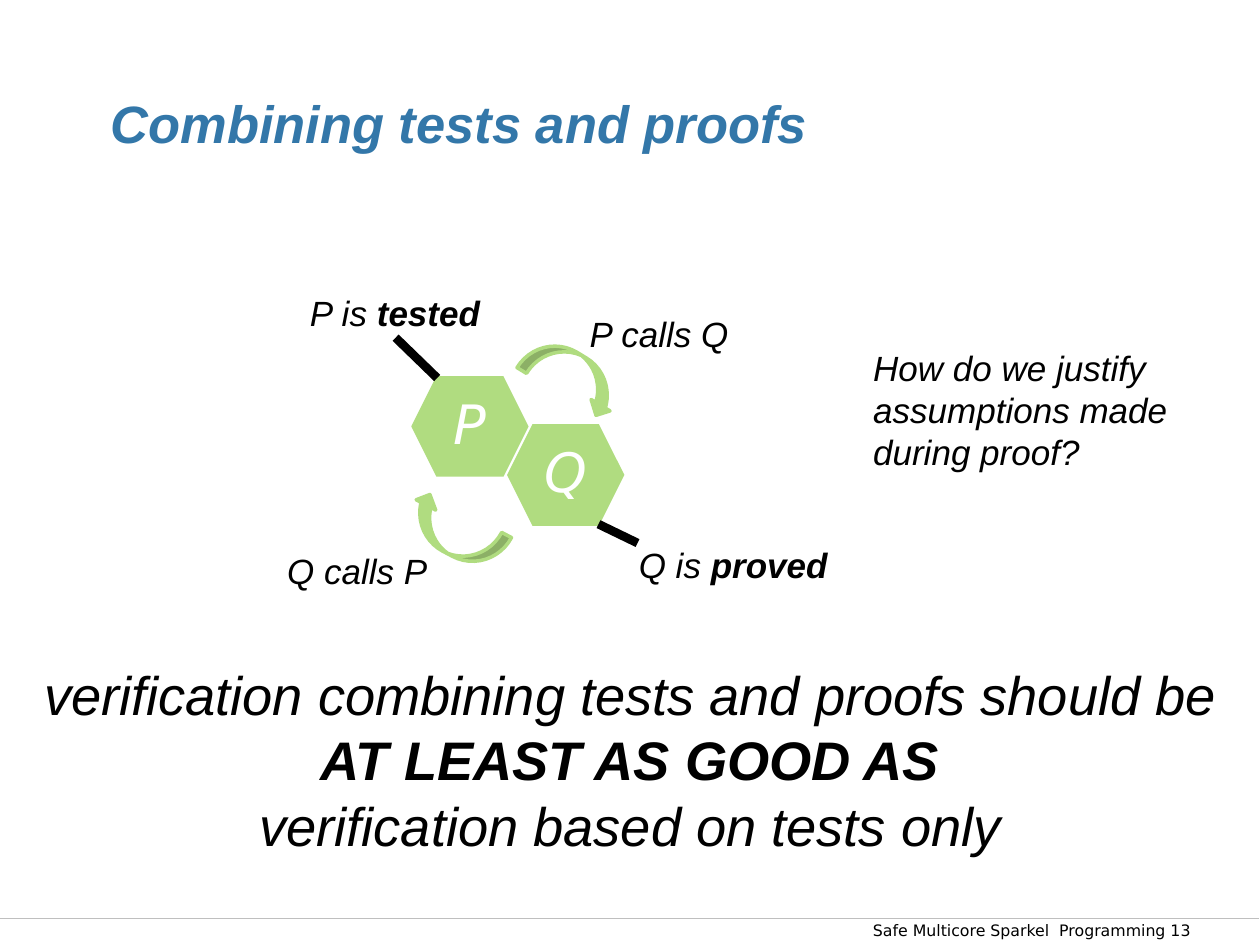
from dataclasses import dataclass

from lxml.etree import SubElement
from pptx import Presentation
from pptx.dml.color import RGBColor
from pptx.enum.shapes import MSO_CONNECTOR, MSO_SHAPE
from pptx.enum.text import MSO_ANCHOR, PP_ALIGN
from pptx.oxml.ns import qn
from pptx.util import Inches, Pt

COLORS = {"title": "3377A9", "ink": "000000", "white": "FFFFFF",
          "green": "B0DC80", "rule": "BFBFBF"}


@dataclass
class Label:
    box: tuple[float, float, float, float]
    # Each paragraph is a list of (text, bold) runs
    paragraphs: list[list[tuple[str, bool]]]
    size: float = 20
    color: str = "ink"
    font: str = "Arial"
    italic: bool = True
    align: PP_ALIGN = PP_ALIGN.LEFT
    anchor: MSO_ANCHOR = MSO_ANCHOR.TOP
    insets: tuple[float, float] = (0.07, 0.04)
    wrap: bool = False
    line_spacing: float = 1.0
    space_after: float = 0


@dataclass
class Module:
    name: str
    left: float
    top: float
    height: float


@dataclass
class Stroke:
    start: tuple[float, float]
    end: tuple[float, float]
    color: str
    width: float


@dataclass
class CallArrow:
    left: float
    top: float
    rotation: float


MODULES = [Module("P", 3.28, 3.0, 0.77), Module("Q", 4.04, 3.38, 0.78)]
ARROWS = [CallArrow(4.37, 2.57, 301.1), CallArrow(3.44, 3.82, 117.8)]
FOOTER_RULE = Stroke((-0.01, 7.29), (9.99, 7.29), "rule", 0.25)
LEADERS = [Stroke((3.14, 2.68), (3.47, 3.0), "ink", 5),
           Stroke((4.75, 4.16), (5.06, 4.31), "ink", 5)]

LABELS = [
    Label((0.78, 0.76, 8.5, 0.42), [[("Combining tests and proofs", True)]],
          size=30, color="title", anchor=MSO_ANCHOR.MIDDLE,
          insets=(0.1, 0.05), wrap=True),
    Label((4.61, 2.44, 1.26, 0.4), [[("P calls Q", False)]]),
    Label((2.21, 4.32, 1.26, 0.4), [[("Q calls P", False)]]),
    Label((2.39, 2.27, 1.5, 0.4), [[("P is ", False), ("tested", True)]]),
    Label((5.0, 4.27, 1.64, 0.4), [[("Q is ", False), ("proved", True)]]),
    Label((6.86, 2.71, 2.56, 1.07),
          [[("How do we justify", False)], [("assumptions made", False)],
           [("during proof?", False)]]),
    Label((0, 5.21, 10, 1.62),
          [[("verification combining tests and proofs should be", False)],
           [("AT LEAST AS GOOD AS", True)],
           [("verification based on tests only", False)]],
          size=31, align=PP_ALIGN.CENTER, wrap=True),
    Label((6.83, 7.26, 3.17, 0.27),
          [[("Safe Multicore Sparkel  Programming 13", False)]],
          size=9, font="DejaVu Sans", italic=False, insets=(0.1, 0.05),
          wrap=True),
]


def rgb(name: str) -> RGBColor:
    return RGBColor.from_string(COLORS[name])


def draw_label(slide, label: Label) -> None:
    frame = slide.shapes.add_textbox(*map(Inches, label.box)).text_frame
    frame.word_wrap = label.wrap
    frame.vertical_anchor = label.anchor
    frame.margin_left = frame.margin_right = Inches(label.insets[0])
    frame.margin_top = frame.margin_bottom = Inches(label.insets[1])
    for index, runs in enumerate(label.paragraphs):
        paragraph = frame.add_paragraph() if index else frame.paragraphs[0]
        paragraph.alignment = label.align
        paragraph.line_spacing = label.line_spacing
        paragraph.space_after = Pt(label.space_after)
        for text, bold in runs:
            run = paragraph.add_run()
            run.text = text
            run.font.name = label.font
            run.font.size = Pt(label.size)
            run.font.bold = bold
            run.font.italic = label.italic
            run.font.color.rgb = rgb(label.color)


def add_green_shape(slide, kind: MSO_SHAPE, left: float, top: float,
                    width: float, height: float):
    shape = slide.shapes.add_shape(
        kind, Inches(left), Inches(top), Inches(width), Inches(height))
    shape.shadow.inherit = False
    shape.fill.solid()
    shape.fill.fore_color.rgb = rgb("green")
    shape.line.color.rgb = rgb("green")
    shape.line.width = Pt(2)
    return shape


def draw_module(slide, module: Module) -> None:
    hexagon = add_green_shape(slide, MSO_SHAPE.HEXAGON, module.left,
                              module.top, 0.9, module.height)
    hexagon.adjustments[0] = 0.25
    # Sharp corners
    outline = hexagon._element.spPr.find(qn("a:ln"))
    SubElement(outline, qn("a:miter")).set("lim", "800000")
    draw_label(slide, Label(
        (module.left + 0.14, module.top + 0.12, 0.62, module.height - 0.24),
        [[(module.name, False)]], size=31, color="white", font="DejaVu Sans",
        align=PP_ALIGN.CENTER, anchor=MSO_ANCHOR.MIDDLE, insets=(0, 0.06),
        wrap=True, line_spacing=0.9, space_after=13.5))


def draw_arrow(slide, arrow: CallArrow) -> None:
    curve = add_green_shape(slide, MSO_SHAPE.CURVED_LEFT_ARROW, arrow.left,
                            arrow.top, 0.35, 0.82)
    curve.rotation = arrow.rotation


def draw_stroke(slide, stroke: Stroke) -> None:
    line = slide.shapes.add_connector(
        MSO_CONNECTOR.STRAIGHT, *map(Inches, stroke.start + stroke.end))
    line.line.color.rgb = rgb(stroke.color)
    line.line.width = Pt(stroke.width)
    SubElement(line._element.spPr, qn("a:effectLst"))


def main() -> None:
    deck = Presentation()
    deck.slide_width, deck.slide_height = Inches(10), Inches(7.5)
    slide = deck.slides.add_slide(deck.slide_layouts[6])

    # Footer rule
    draw_stroke(slide, FOOTER_RULE)
    # Modules, the calls between them and the label leaders
    for module in MODULES:
        draw_module(slide, module)
    for arrow in ARROWS:
        draw_arrow(slide, arrow)
    for leader in LEADERS:
        draw_stroke(slide, leader)
    # Title, labels, conclusion and footer
    for label in LABELS:
        draw_label(slide, label)

    deck.save("out.pptx")


if __name__ == "__main__":
    main()
